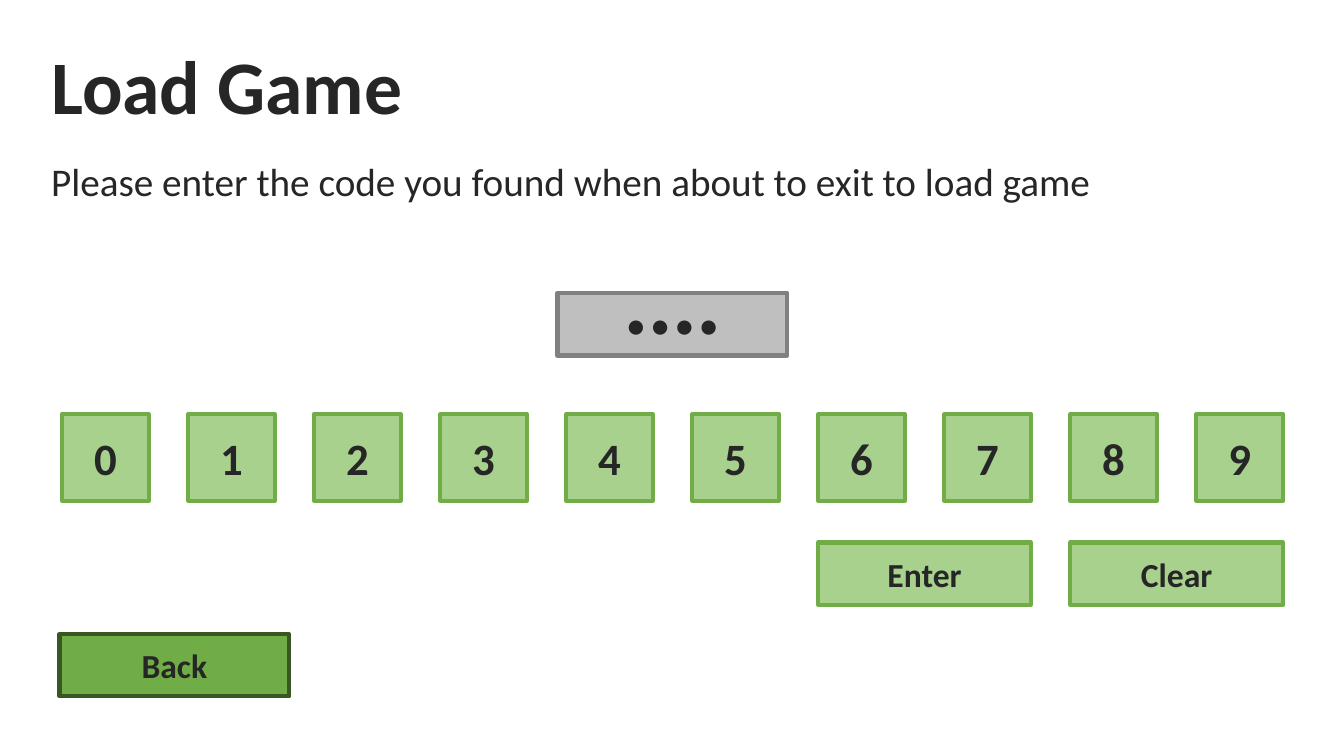
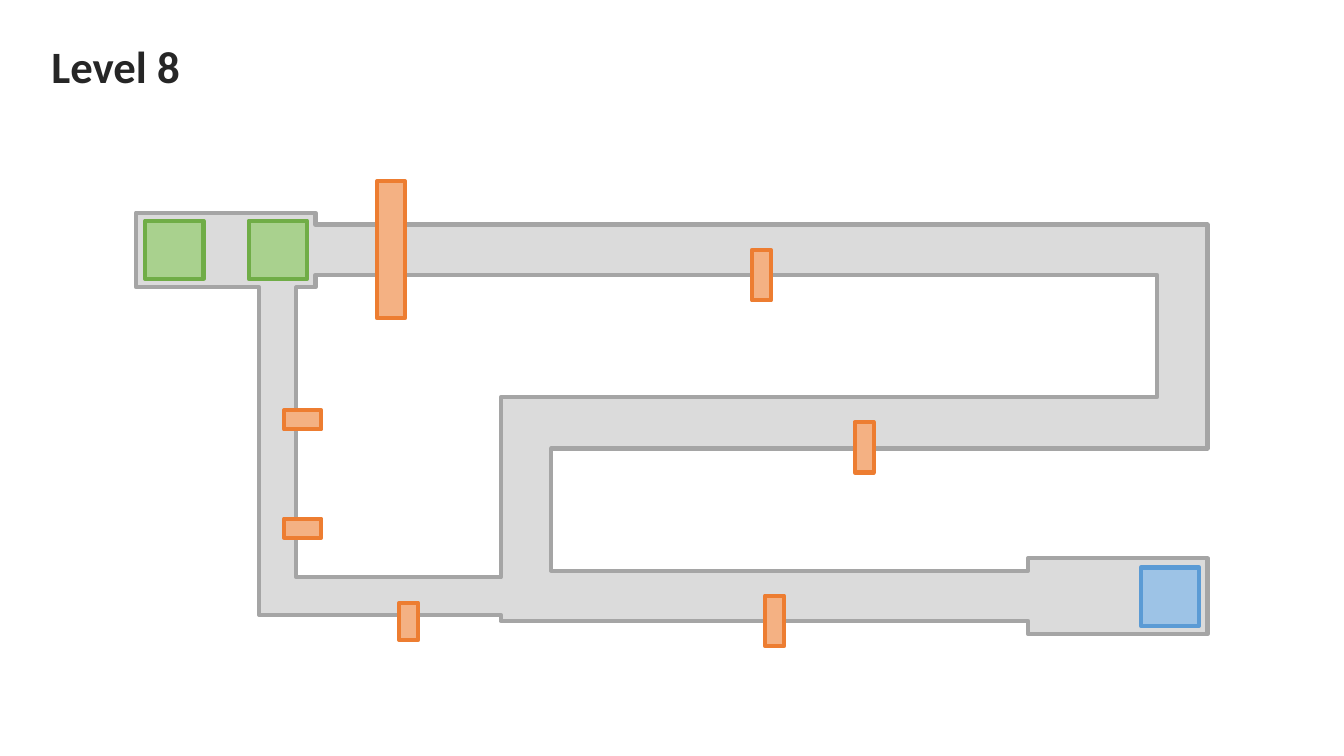
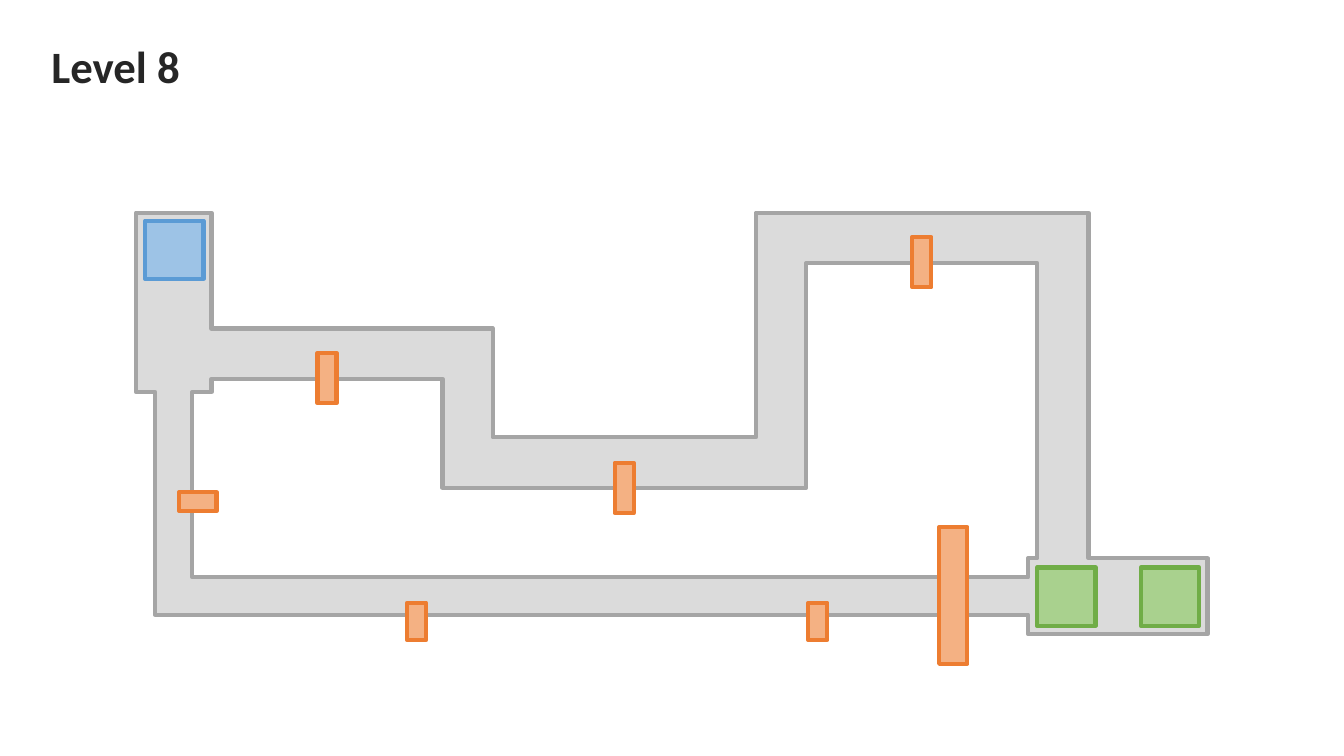
from pptx import Presentation
from pptx import util as u
from pptx.dml.color import RGBColor
from pptx.enum import shapes, text

INK = "262626"
FONT = "Calibri"
STYLES = {
    "key": ("A9D18E", "70AD47"),
    "back": ("70AD47", "385723"),
    "display": ("BFBFBF", "808080"),
    "goal": ("A9D18E", "70AD47"),
    "start": ("9DC3E6", "5B9BD5"),
    "obstacle": ("F4B183", "ED7D31"),
    "track": ("DBDBDB", "A5A5A5"),
}
MARGIN, TITLE_TOP = 1.04, 0.86

LOAD_TITLE = "Load Game"
PROMPT = "Please enter the code you found when about to exit to load game"
DIGITS = "0123456789"
KEY_FIRST, KEY_LAST, KEY_TOP, KEY_SIZE = 1.57, 30.15, 10.44, 2.18
COMMANDS = [("Enter", 6), ("Clear", 8)]
COMMAND_TOP, BUTTON_HEIGHT, BUTTON_WIDTH = 13.67, 1.57, 5.79
BUTTONS = [("Back", "back", 1.5, 15.98), ("• • • •", "display", 14.05, 7.39)]

SIZES = {
    "tile": (1.47, 1.47),
    "tall": (0.48, 1.27),
    "short": (0.48, 0.94),
    "flat": (0.94, 0.48),
    "gate": (0.71, 3.45),
}
LEVELS = [
    {
        "title": "Level 8",
        "track": [
            [(7.95, 6.93), (7.95, 7.24), (7.47, 7.24), (7.47, 14.55),
             (12.62, 14.55), (12.62, 10.01), (29.16, 10.01), (29.16, 6.93)],
            [(3.43, 5.36), (7.95, 5.36), (7.95, 5.66), (30.43, 5.66),
             (30.43, 11.3), (13.89, 11.3), (13.89, 14.38), (25.91, 14.38),
             (25.91, 14.07), (30.43, 14.07), (30.43, 15.98), (25.91, 15.98),
             (25.91, 15.65), (12.62, 15.65), (12.62, 15.49), (6.53, 15.49),
             (6.53, 7.24), (3.43, 7.24)],
        ],
        "pieces": [
            ("goal", "tile", [(3.66, 5.56), (6.27, 5.56)]),
            ("start", "tile", [(28.75, 14.3)]),
            ("obstacle", "tall", [(18.95, 6.3), (21.54, 10.64), (19.28, 15.01)]),
            ("obstacle", "flat", [(7.16, 10.34), (7.16, 13.07)]),
            ("obstacle", "short", [(10.06, 15.19)]),
            ("obstacle", "gate", [(9.5, 4.57)]),
        ],
    },
    {
        "title": "Level 8",
        "track": [
            [(20.32, 6.63), (20.32, 12.29), (11.15, 12.29), (11.15, 9.55),
             (5.33, 9.55), (5.33, 9.88), (4.85, 9.88), (4.85, 14.55),
             (25.91, 14.55), (25.91, 14.07), (26.14, 14.07), (26.14, 6.63)],
            [(3.43, 5.36), (5.33, 5.36), (5.33, 8.28), (12.42, 8.28),
             (12.42, 11.02), (19.05, 11.02), (19.05, 5.36), (27.43, 5.36),
             (27.43, 14.07), (30.43, 14.07), (30.43, 15.98), (25.91, 15.98),
             (25.91, 15.49), (3.91, 15.49), (3.91, 9.88), (3.43, 9.88)],
        ],
        "pieces": [
            ("goal", "tile", [(28.75, 14.3), (26.14, 14.3)]),
            ("start", "tile", [(3.66, 5.56)]),
            ("obstacle", "tall", [(22.99, 5.97), (15.49, 11.66), (8, 8.89)]),
            ("obstacle", "flat", [(4.52, 12.4)]),
            ("obstacle", "short", [(20.37, 15.19), (10.26, 15.19)]),
            ("obstacle", "gate", [(23.67, 13.28)]),
        ],
    },
]


def colour(value):
    return RGBColor.from_string(value)


def apply(target, values):
    for name, value in values.items():
        setattr(target, name, value)


def write(holder, words, size, bold=True, align=text.PP_ALIGN.LEFT,
          anchor=text.MSO_ANCHOR.TOP):
    frame = holder.text_frame
    frame.text = words
    apply(frame, {"word_wrap": False, "vertical_anchor": anchor,
                  "auto_size": text.MSO_AUTO_SIZE.NONE})
    paragraph = frame.paragraphs[0]
    paragraph.alignment = align
    apply(paragraph.font, {"name": FONT, "size": u.Pt(size), "bold": bold})
    paragraph.font.color.rgb = colour(INK)


def paint(shape, style):
    fill, line = STYLES[style]
    shape.shadow.inherit = False
    shape.fill.solid()
    shape.fill.fore_color.rgb = colour(fill)
    shape.line.color.rgb = colour(line)
    shape.line.width = u.Pt(3)


def add_box(slide, style, left, top, width, height):
    box = slide.shapes.add_shape(shapes.MSO_SHAPE.RECTANGLE,
                                 *map(u.Cm, (left, top, width, height)))
    paint(box, style)
    return box


def add_button(slide, label, style, left, top, width, height, size=24):
    button = add_box(slide, style, left, top, width, height)
    write(button, label, size, align=text.PP_ALIGN.CENTER,
          anchor=text.MSO_ANCHOR.MIDDLE)


def add_titled_slide(deck, title, size, width, height):
    slide = deck.slides.add_slide(deck.slide_layouts[5])
    heading = slide.shapes.title
    apply(heading, {"left": u.Cm(MARGIN), "top": u.Cm(TITLE_TOP),
                    "width": u.Cm(width), "height": u.Cm(height)})
    write(heading, title, size)
    return slide


def add_track(slide, outlines):
    builder = None
    for outline in outlines:
        corners = [(u.Cm(x), u.Cm(y)) for x, y in outline]
        if builder is None:
            builder = slide.shapes.build_freeform(*corners[0])
        else:
            builder.move_to(*corners[0])
        builder.add_line_segments(corners[1:], close=True)
    paint(builder.convert_to_shape(), "track")


def add_load_screen(deck):
    slide = add_titled_slide(deck, LOAD_TITLE, 54, 10.62, 2.57)
    prompt = slide.shapes.add_textbox(*map(u.Cm, (MARGIN, 3.84, 29.13, 1.45)))
    write(prompt, PROMPT, 28, bold=False)
    for label, style, left, top in BUTTONS:
        add_button(slide, label, style, left, top, BUTTON_WIDTH, BUTTON_HEIGHT)
    pitch = (KEY_LAST - KEY_FIRST) / (len(DIGITS) - 1)
    for column, digit in enumerate(DIGITS):
        add_button(slide, digit, "key", KEY_FIRST + column * pitch, KEY_TOP,
                   KEY_SIZE, KEY_SIZE, size=32)
    for label, column in COMMANDS:
        add_button(slide, label, "key", KEY_FIRST + column * pitch, COMMAND_TOP,
                   pitch + KEY_SIZE, BUTTON_HEIGHT)


def add_level(deck, level):
    slide = add_titled_slide(deck, level["title"], 32, 4.24, 1.63)
    add_track(slide, level["track"])
    for style, size, spots in level["pieces"]:
        for left, top in spots:
            add_box(slide, style, left, top, *SIZES[size])


def main():
    deck = Presentation()
    apply(deck, {"slide_width": u.Cm(33.87), "slide_height": u.Cm(19.05)})
    add_load_screen(deck)
    for level in LEVELS:
        add_level(deck, level)
    deck.save("out.pptx")


if __name__ == "__main__":
    main()
